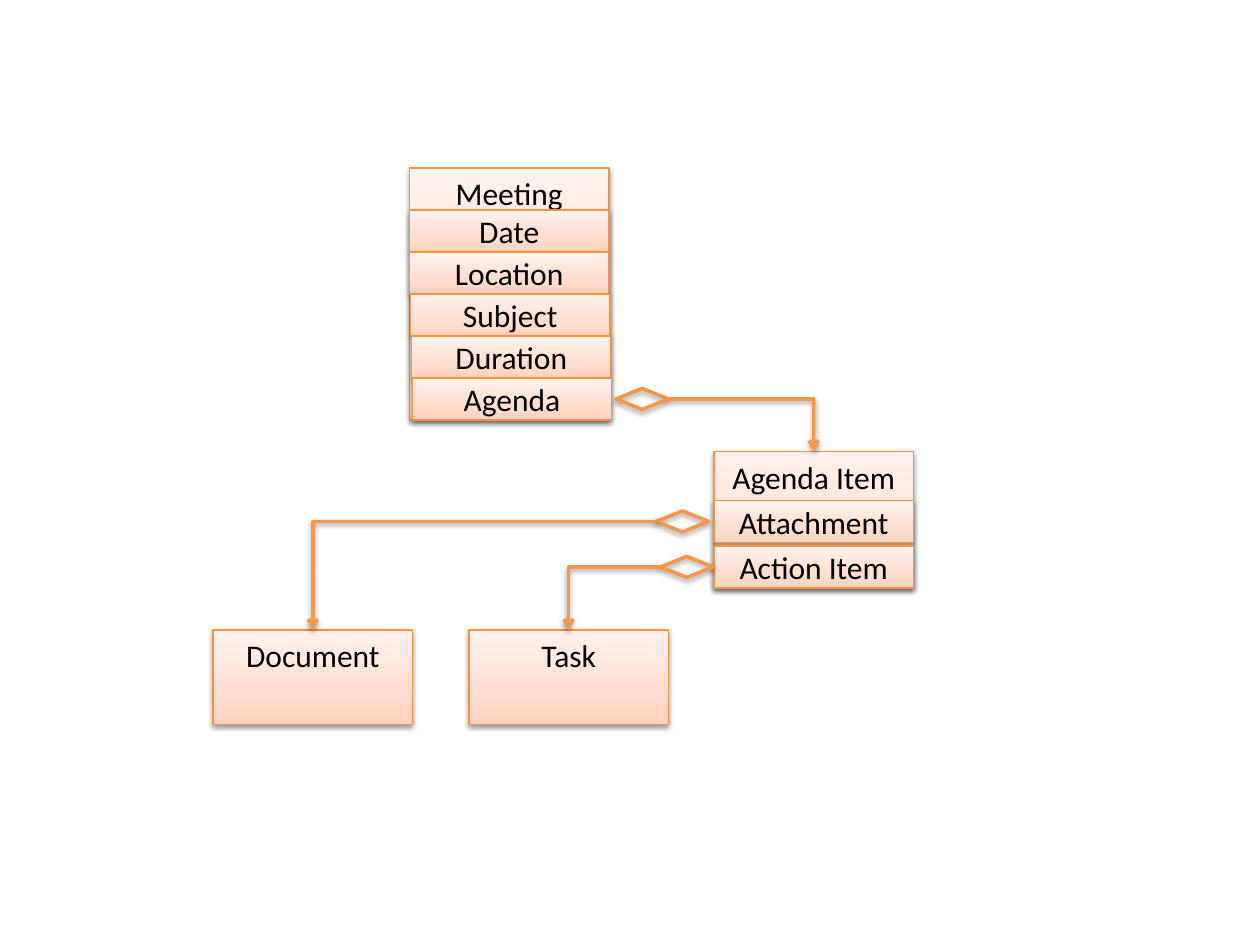
from dataclasses import dataclass
from lxml.etree import SubElement
from pptx import Presentation
from pptx.dml.color import RGBColor
from pptx.enum.shapes import MSO_CONNECTOR, MSO_SHAPE as Geometry
from pptx.enum.text import MSO_ANCHOR as Anchor, PP_ALIGN as Align
from pptx.oxml.ns import qn
from pptx.util import Pt


@dataclass(frozen=True)
class Theme:
    font: str = "Calibri"
    text_size: float = 18
    text: str = "000000"
    outline: str = "F69240"
    outline_width: float = 0.75
    link: str = "F79646"
    link_width: float = 2
    gradient: tuple = ((0, "FFD2BD"), (35, "FFDED0"), (100, "FFF2ED"))
    shadow: str = "000000"


THEME = Theme()
CLASS_WIDTH, ROW_HEIGHT = 114, 24
DIAMOND_WIDTH, DIAMOND_HEIGHT = 30, 12
DIAMOND_LEFT, DIAMOND_RIGHT, CLASS_TOP = 1, 3, 0

CLASSES = [
    ("Meeting", Geometry.RECTANGLE, 234, 96, 144,
     [("Date", 0, 24), ("Location", 0, 48), ("Subject", 0.6, 72),
      ("Duration", 1.2, 96), ("Agenda", 1.6, 120)]),
    ("Agenda Item", Geometry.FLOWCHART_PROCESS, 408, 258, 78,
     [("Attachment", 0, 28), ("Action Item", 0, 54)]),
    ("Document", Geometry.FLOWCHART_PROCESS, 121.8, 360, 54, []),
    ("Task", Geometry.FLOWCHART_PROCESS, 268, 360, 54, []),
]
AGGREGATIONS = [
    ("Agenda", 352, DIAMOND_RIGHT, "Agenda Item"),
    ("Action Item", 377.5, DIAMOND_LEFT, "Task"),
    ("Attachment", 375, DIAMOND_LEFT, "Document"),
]

presentation = Presentation()
presentation.slide_width, presentation.slide_height = Pt(720), Pt(540)
shapes = presentation.slides.add_slide(presentation.slide_layouts[6]).shapes


def apply(target, **values):
    for key, value in values.items():
        setattr(target, key, value)


def outline(item, color, width):
    item.line.color.rgb = RGBColor.from_string(color)
    item.line.width = Pt(width)


def cast_shadow(item):
    properties = item._element.spPr
    effects = properties.find(qn("a:effectLst"))
    if effects is None:
        effects = SubElement(properties, qn("a:effectLst"))
    shadow = SubElement(effects, qn("a:outerShdw"), blurRad="40000",
                        dist="20000", dir="5400000", rotWithShape="0")
    color = SubElement(shadow, qn("a:srgbClr"), val=THEME.shadow)
    SubElement(color, qn("a:alpha"), val="38000")


def add_part(geometry, left, top, width, height):
    part = shapes.add_shape(geometry, Pt(left), Pt(top), Pt(width), Pt(height))
    part.shadow.inherit = False
    cast_shadow(part)
    return part


def add_box(label, geometry, left, top, height, **frame_format):
    box = add_part(geometry, left, top, CLASS_WIDTH, height)
    box.fill.gradient()
    box.fill.gradient_angle = 90
    stops = box._element.spPr.find(".//" + qn("a:gsLst"))
    stops.clear()
    for position, color in THEME.gradient:
        stop = SubElement(stops, qn("a:gs"), pos=str(position * 1000))
        SubElement(stop, qn("a:srgbClr"), val=color)
    outline(box, THEME.outline, THEME.outline_width)
    frame = box.text_frame
    apply(frame, word_wrap=True, **frame_format)
    paragraph = frame.paragraphs[0]
    paragraph.alignment = Align.CENTER
    run = paragraph.add_run()
    run.text = label
    apply(run.font, name=THEME.font, size=Pt(THEME.text_size))
    run.font.color.rgb = RGBColor.from_string(THEME.text)
    return box


def add_aggregation(owner, left, side, target):
    middle = (owner.top + owner.height / 2) / Pt(1)
    diamond = add_part(Geometry.FLOWCHART_DECISION, left,
                       middle - DIAMOND_HEIGHT / 2, DIAMOND_WIDTH, DIAMOND_HEIGHT)
    diamond.fill.background()
    outline(diamond, THEME.link, THEME.link_width)
    start = left + DIAMOND_WIDTH if side == DIAMOND_RIGHT else left
    link = shapes.add_connector(MSO_CONNECTOR.ELBOW, Pt(start), Pt(middle),
                                target.left + target.width // 2, target.top)
    link.begin_connect(diamond, side)
    link.end_connect(target, CLASS_TOP)
    bend = link._element.spPr.find(qn("a:prstGeom"))
    bend.set("prst", "bentConnector2")
    outline(link, THEME.link, THEME.link_width)
    SubElement(link.line._get_or_add_ln(), qn("a:tailEnd"), type="arrow")
    cast_shadow(link)


ROW_FORMAT = dict(vertical_anchor=Anchor.MIDDLE, margin_left=0, margin_top=0,
                  margin_right=0, margin_bottom=0)
boxes = {}
for title, geometry, left, top, height, rows in CLASSES:
    boxes[title] = add_box(title, geometry, left, top, height,
                           vertical_anchor=Anchor.TOP)
    for label, shift, drop in rows:
        boxes[label] = add_box(label, Geometry.RECTANGLE, left + shift,
                               top + drop, ROW_HEIGHT, **ROW_FORMAT)

for owner, left, side, target in AGGREGATIONS:
    add_aggregation(boxes[owner], left, side, boxes[target])

presentation.save("out.pptx")
